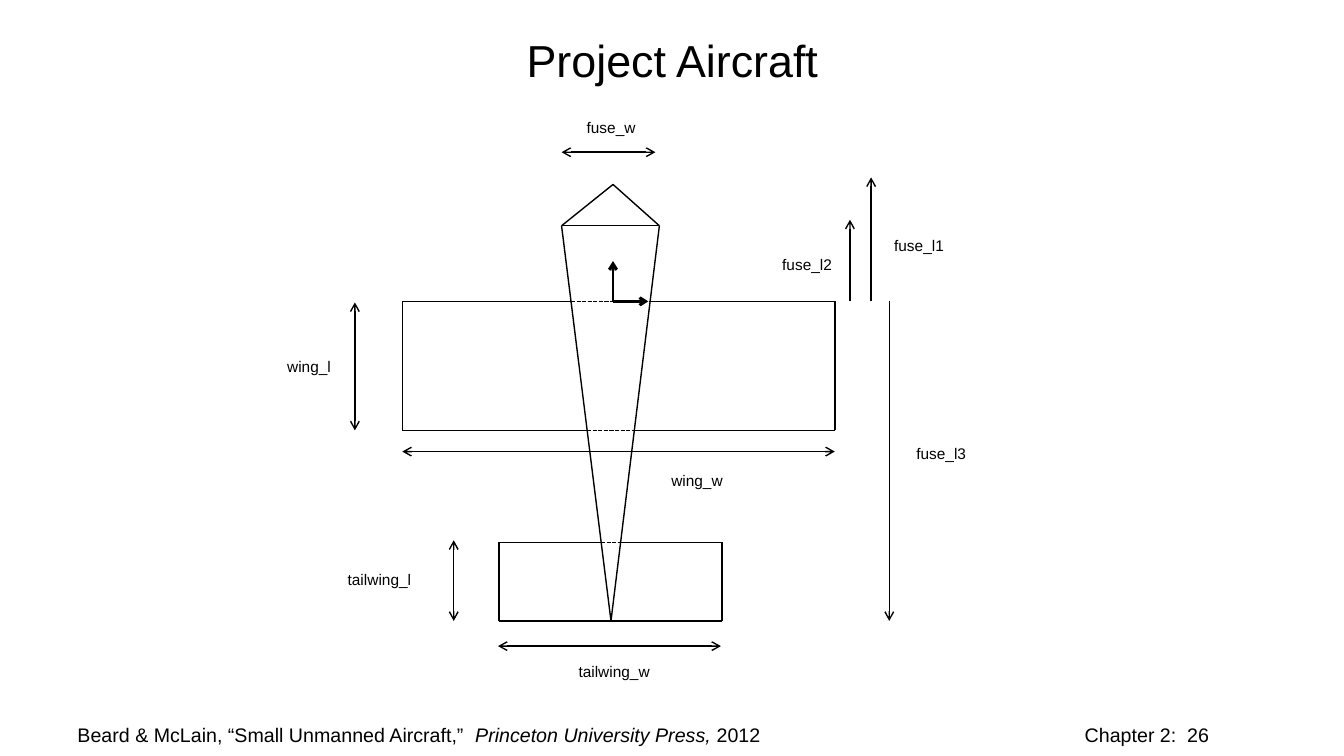
from dataclasses import dataclass

from lxml import etree
from pptx import Presentation
from pptx import util as u
from pptx.dml.color import RGBColor
from pptx.enum import dml, shapes, text
from pptx.oxml.ns import qn


@dataclass(frozen=True)
class Theme:
    font: str = "Arial"
    ink: RGBColor = RGBColor(0, 0, 0)
    title: int = 32
    foot: int = 14
    label: int = 11
    thin: float = 1
    bold: float = 2


T = Theme()

# Distances from the middle of the wing's front edge, in inches
NOSE, TAIL = (0, -1.16), (-0.02, 3.17)
LEFT, RIGHT = (-0.51, -0.75), (0.46, -0.75)
WING = (-2.09, 0, 2.2, 1.28)
REAR = (-1.13, 2.39, 1.08, 3.17)

# label, label corner, arrow start, arrow end, head at both ends
SPANS = [
    ("fuse_w", (-0.36, -1.87), (-0.51, -1.48), (0.42, -1.48), True),
    ("fuse_l1", (2.69, -0.7), (2.56, 0), (2.56, -1.23), False),
    ("fuse_l2", (1.58, -0.51), (2.35, 0), (2.35, -0.81), False),
    ("fuse_l3", (2.91, 1.37), (2.74, 0), (2.74, 3.17), False),
    ("wing_l", (-3.33, 0.5), (-2.56, 0.01), (-2.56, 1.28), True),
    ("wing_w", (0.48, 1.63), (-2.09, 1.49), (2.2, 1.49), True),
    ("tailwing_l", (-2.73, 2.62), (-1.58, 2.37), (-1.58, 3.17), True),
    ("tailwing_w", (-0.44, 3.53), (-1.14, 3.42), (1.07, 3.42), True),
]


def write(para, words, size, italic=False):
    run = para.add_run()
    run.text = words
    font = run.font
    font.name, font.size, font.italic = T.font, u.Pt(size), italic
    font.color.rgb = T.ink


def place(slide, box):
    frame = slide.shapes.add_textbox(*map(u.Inches, box)).text_frame
    frame.word_wrap = True
    return frame.paragraphs[0]


def draw(slide, base, start, end, width=T.thin, dash=False, ends=()):
    """Draw a line between two points measured from base."""
    spots = [u.Inches(b + p) for point in (start, end)
             for b, p in zip(base, point)]
    link = slide.shapes.add_connector(shapes.MSO_CONNECTOR.STRAIGHT, *spots)
    line = link.line
    line.color.rgb, line.width = T.ink, u.Pt(width)
    if dash:
        line.dash_style = dml.MSO_LINE.SQUARE_DOT
    pen = line._get_or_add_ln()
    for end_tag in ends:
        etree.SubElement(pen, qn(end_tag), type="arrow")
    etree.SubElement(link._element.spPr, qn("a:effectLst"))


def edge(side, y):
    """Give the x of the fuselage side at height y."""
    part = (y - side[1]) / (TAIL[1] - side[1])
    return side[0] + part * (TAIL[0] - side[0])


def body(slide, base):
    for start, end in [(NOSE, LEFT), (NOSE, RIGHT), (LEFT, RIGHT),
                       (LEFT, TAIL), (RIGHT, TAIL)]:
        draw(slide, base, start, end)


def wing(slide, base, box):
    """Draw a wing, dashed where the fuselage covers it."""
    left, top, right, low = box
    for x in (left, right):
        draw(slide, base, (x, top), (x, low))
    for y in (top, low):
        near, far = edge(LEFT, y), edge(RIGHT, y)
        draw(slide, base, (left, y), (near, y))
        draw(slide, base, (far, y), (right, y))
        if near < far:
            draw(slide, base, (near, y), (far, y), dash=True)


def axes(slide, base):
    for tip in [(0, -0.4), (0.35, 0)]:
        draw(slide, base, (0, 0), tip, T.bold, ends=["a:tailEnd"])


def spans(slide, base):
    for name, spot, start, end, both in SPANS:
        ends = ["a:headEnd", "a:tailEnd"] if both else ["a:tailEnd"]
        draw(slide, base, start, end, ends=ends)
        x, y = (b + s for b, s in zip(base, spot))
        write(place(slide, (x, y, 1.1, 0.34)), name, T.label)


def plane(slide, box):
    base = box[0] + 3.33, box[1] + 1.87
    body(slide, base)
    wing(slide, base, WING)
    wing(slide, base, REAR)
    axes(slide, base)
    spans(slide, base)


def title(slide, box):
    head = slide.shapes.title
    head.left, head.top, head.width, head.height = map(u.Inches, box)
    head.text_frame.vertical_anchor = text.MSO_ANCHOR.MIDDLE
    para = head.text_frame.paragraphs[0]
    para.alignment = text.PP_ALIGN.CENTER
    write(para, "Project Aircraft", T.title)


def footer(slide, box):
    para = place(slide, box)
    tabs = etree.SubElement(para._p.get_or_add_pPr(), qn("a:tabLst"))
    etree.SubElement(tabs, qn("a:tab"), pos=str(u.Inches(9.99)), algn="l")
    write(para, "Beard & McLain, “Small Unmanned Aircraft,”  ", T.foot)
    write(para, "Princeton University Press,", T.foot, italic=True)
    write(para, " 2012\tChapter 2:  26", T.foot)


def main():
    deck = Presentation()
    deck.slide_width, deck.slide_height = u.Inches(13.33), u.Inches(7.5)
    slide = deck.slides.add_slide(deck.slide_layouts[5])
    title(slide, (0.67, 0.2, 12, 0.79))
    plane(slide, (2.75, 1.12))
    footer(slide, (0.67, 7.12, 12, 0.39))
    deck.save("out.pptx")


if __name__ == "__main__":
    main()
